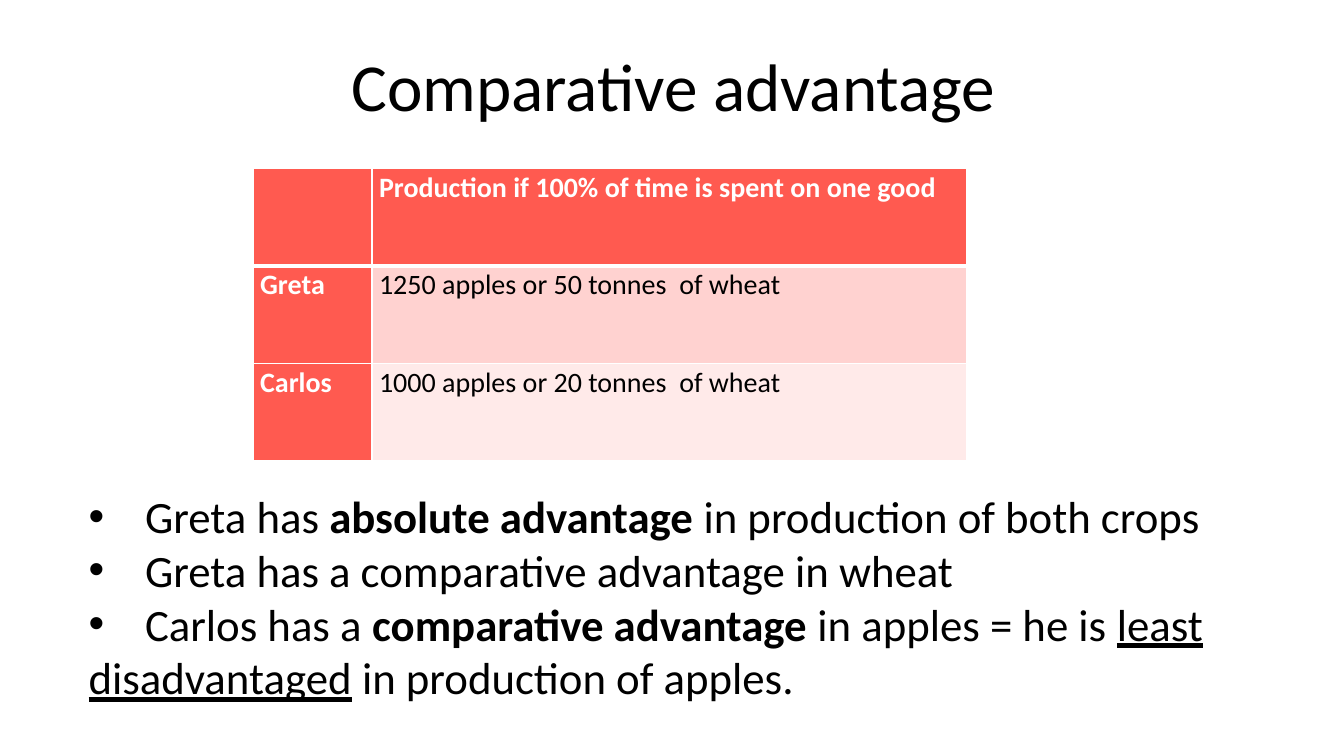
from dataclasses import dataclass

from lxml import etree
from pptx import Presentation
from pptx import util as u
from pptx.dml.color import RGBColor
from pptx.enum import text
from pptx.oxml import ns


@dataclass(frozen=True)
class Theme:
    font: str = "Calibri"
    ink: str = "000000"
    paper: str = "FFFFFF"
    coral: str = "FF5A50"
    bands: tuple = ("FFD2D0", "FFEAE9")
    title: int = 48
    body: int = 32
    cell: int = 20
    thin: int = 1
    thick: int = 3


THEME = Theme()

GOODS = [
    ("", "Production if 100% of time is spent on one good"),
    ("Greta", "1250 apples or 50 tonnes  of wheat"),
    ("Carlos", "1000 apples or 20 tonnes  of wheat"),
]

POINTS = [
    [("Greta has ", ""), ("absolute advantage ", "b"),
     ("in production of both crops", "")],
    [("Greta has a comparative advantage in wheat", "")],
    [("Carlos has a ", ""), ("comparative advantage ", "b"),
     ("in apples = he is ", ""), ("least disadvantaged", "u"),
     (" in production of apples.", "")],
]


def add_run(para, words, size, color, style=""):
    run = para.add_run()
    run.text = words
    font = run.font
    font.name = THEME.font
    font.size = u.Pt(size)
    font.color.rgb = RGBColor.from_string(color)
    font.bold = "b" in style
    font.underline = "u" in style


def add_frame(slide, box):
    frame = slide.shapes.add_textbox(*map(u.Inches, box)).text_frame
    frame.word_wrap = True
    return frame


def add_title(slide, box):
    frame = add_frame(slide, box)
    frame.vertical_anchor = text.MSO_ANCHOR.MIDDLE
    para = frame.paragraphs[0]
    para.alignment = text.PP_ALIGN.CENTER
    para.line_spacing = 0.9
    add_run(para, "Comparative advantage", THEME.title, THEME.ink)


def add_bullet(para, stop):
    props = para._p.get_or_add_pPr()
    props.set("marL", "0")
    props.set("indent", "0")
    etree.SubElement(props, ns.qn("a:buFont"), typeface="Arial")
    etree.SubElement(props, ns.qn("a:buChar"), char="•")
    tabs = etree.SubElement(props, ns.qn("a:tabLst"))
    etree.SubElement(tabs, ns.qn("a:tab"), pos=str(u.Inches(stop)), algn="l")


def add_points(slide, box):
    frame = add_frame(slide, box)
    for i, point in enumerate(POINTS):
        para = frame.add_paragraph() if i else frame.paragraphs[0]
        add_bullet(para, 0.56)
        add_run(para, "\t", THEME.body, THEME.ink)
        for words, style in point:
            add_run(para, words, THEME.body, THEME.ink, style)


def add_edges(cell, widths):
    props = cell._tc.get_or_add_tcPr()
    for i, (side, width) in enumerate(zip("LRTB", widths)):
        line = etree.Element(ns.qn(f"a:ln{side}"), w=str(u.Pt(width)))
        fill = etree.SubElement(line, ns.qn("a:solidFill"))
        etree.SubElement(fill, ns.qn("a:srgbClr"), val=THEME.paper)
        props.insert(i, line)


def fill_cell(cell, words, row, col):
    head = row == 0 or col == 0
    shade = THEME.coral if head else THEME.bands[row - 1]
    cell.fill.solid()
    cell.fill.fore_color.rgb = RGBColor.from_string(shade)
    cell.margin_left = cell.margin_right = u.Inches(0.07)
    cell.margin_top = cell.margin_bottom = 0
    top = THEME.thick if row == 1 else THEME.thin
    base = THEME.thick if row == 0 else THEME.thin
    add_edges(cell, (THEME.thin, THEME.thin, top, base))
    if words:
        para = cell.text_frame.paragraphs[0]
        para.line_spacing = 1.07
        color = THEME.paper if head else THEME.ink
        add_run(para, words, THEME.cell, color, "b" if head else "")


def add_goods(slide, box):
    left, top, width, height = box
    table = slide.shapes.add_table(
        len(GOODS), 2, *map(u.Inches, box)).table
    name = 1.18
    table.columns[0].width = u.Inches(name)
    table.columns[1].width = u.Inches(width - name)
    for r, line in enumerate(GOODS):
        table.rows[r].height = u.Inches(height / len(GOODS))
        for c, words in enumerate(line):
            fill_cell(table.cell(r, c), words, r, c)


def main():
    deck = Presentation()
    deck.slide_width = u.Inches(13.33)
    deck.slide_height = u.Inches(7.5)
    slide = deck.slides.add_slide(deck.slide_layouts[6])
    add_title(slide, (0.93, 0.38, 11.5, 1.02))
    add_points(slide, (0.78, 4.8, 11.95, 2.26))
    add_goods(slide, (2.51, 1.67, 7.08, 2.9))
    deck.save("out.pptx")


if __name__ == "__main__":
    main()
